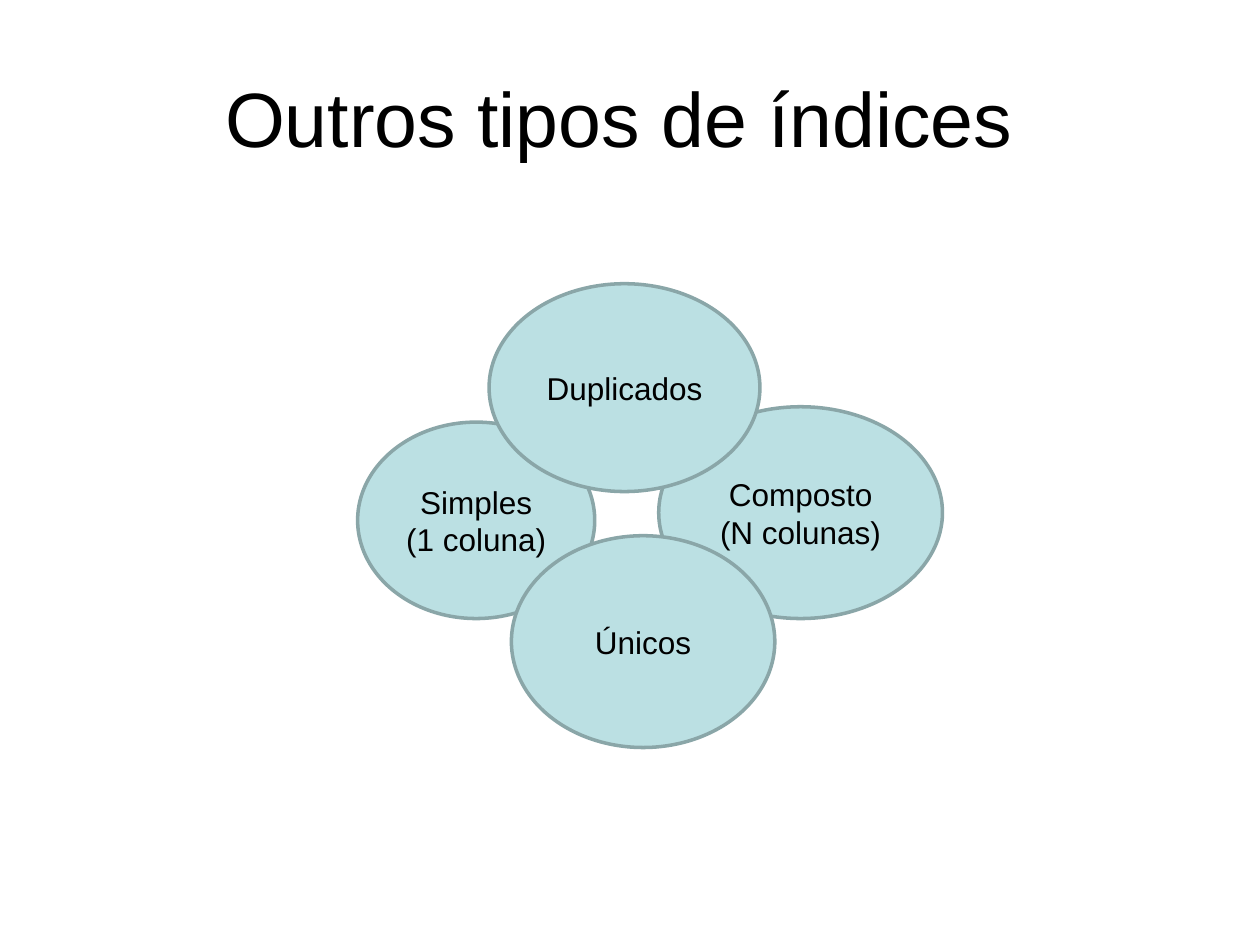
from pptx import Presentation
from pptx.dml.color import RGBColor
from pptx.enum.shapes import MSO_SHAPE
from pptx.enum.text import MSO_ANCHOR, PP_ALIGN
from pptx.util import Cm, Pt

FONT = "Arial"
TEXT = "000000"
FILL = "BBE0E3"
OUTLINE = "8AA6A8"

# Index types from back to front: lines of text, then left, top, width, height in cm
INDEX_TYPES = [
    (["Simples", "(1 coluna)"], (7.21, 8.51, 4.78, 3.96)),
    (["Composto", "(N colunas)"], (13.28, 8.2, 5.72, 4.27)),
    (["Únicos"], (10.31, 10.8, 5.31, 4.27)),
    (["Duplicados"], (9.86, 5.72, 5.46, 4.19)),
]


def color(hex_value):
    return RGBColor.from_string(hex_value)


def write_lines(frame, lines, size):
    """Write centred paragraphs, one run each."""
    frame.word_wrap = True
    frame.vertical_anchor = MSO_ANCHOR.MIDDLE
    for number, line in enumerate(lines):
        paragraph = frame.add_paragraph() if number else frame.paragraphs[0]
        paragraph.alignment = PP_ALIGN.CENTER
        run = paragraph.add_run()
        run.text = line
        run.font.name = FONT
        run.font.size = Pt(size)
        run.font.color.rgb = color(TEXT)


def set_title(slide, heading):
    title = slide.shapes.title
    title.left, title.top = Cm(1.27), Cm(0.76)
    title.width, title.height = Cm(22.86), Cm(3.18)
    write_lines(title.text_frame, [heading], 44)


def add_index_type(slide, lines, box):
    ellipse = slide.shapes.add_shape(MSO_SHAPE.OVAL, *map(Cm, box))
    ellipse.shadow.inherit = False
    ellipse.fill.solid()
    ellipse.fill.fore_color.rgb = color(FILL)
    ellipse.line.color.rgb = color(OUTLINE)
    ellipse.line.width = Pt(2)
    frame = ellipse.text_frame
    frame.margin_left = frame.margin_right = Cm(0.1)
    write_lines(frame, lines, 18)


def main():
    presentation = Presentation()
    presentation.slide_width, presentation.slide_height = Cm(25.4), Cm(19.05)
    # Layout with a title only
    slide = presentation.slides.add_slide(presentation.slide_layouts[5])
    set_title(slide, "Outros tipos de índices ")

    # Overlapping ellipses
    for lines, box in INDEX_TYPES:
        add_index_type(slide, lines, box)

    presentation.save("out.pptx")


if __name__ == "__main__":
    main()
